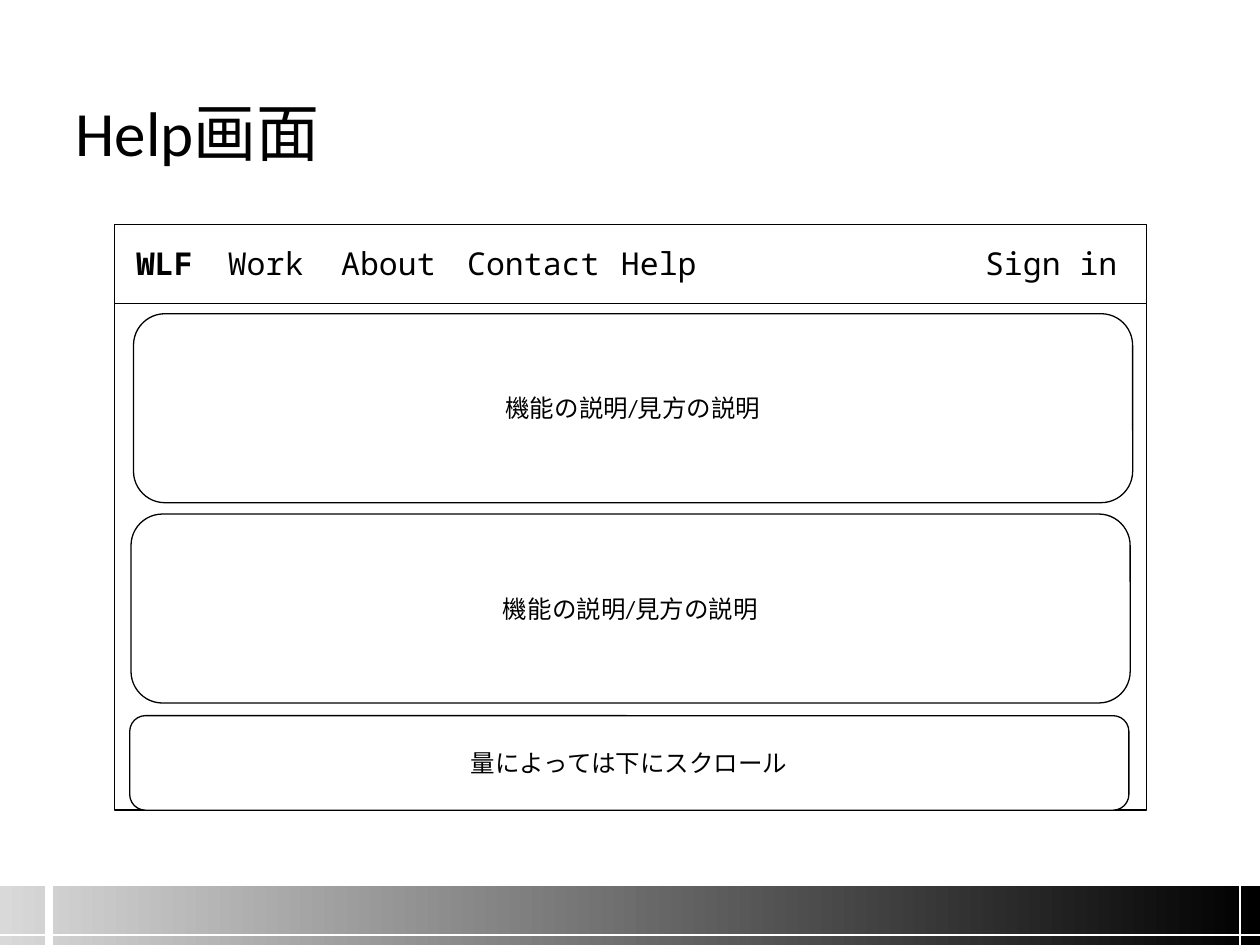
from lxml import etree
from pptx import Presentation
from pptx import util as u
from pptx.dml import color
from pptx.enum import shapes, text
from pptx.oxml import ns


def tint(code):
    return color.RGBColor.from_string(code)


class Page:
    ink, white = "000000", "FFFFFF"
    sans, mono = "Calibri", "Noto Sans Mono"

    def __init__(self, deck):
        self.slide = deck.slides.add_slide(deck.slide_layouts[5])
        self.items = self.slide.shapes

    def letter(self, frame, words, size, font, align, anchor, bold=False):
        frame.text = words
        frame.vertical_anchor = anchor
        para = frame.paragraphs[0]
        para.alignment = align
        para.font.size = u.Pt(size)
        para.font.name = font
        para.font.bold = bold
        para.font.color.rgb = tint(self.ink)

    def title(self, words, *box):
        head = self.items.title
        head.left, head.top, head.width, head.height = map(u.Inches, box)
        self.letter(head.text_frame, words, 36, self.sans,
                    text.PP_ALIGN.LEFT, text.MSO_ANCHOR.BOTTOM)

    def box(self, *box, kind=shapes.MSO_SHAPE.RECTANGLE):
        item = self.items.add_shape(kind, *map(u.Inches, box))
        item.shadow.inherit = False
        item.fill.solid()
        item.fill.fore_color.rgb = tint(self.white)
        item.line.color.rgb = tint(self.ink)
        item.line.width = u.Pt(0.75)
        return item

    def card(self, words, *box):
        item = self.box(*box, kind=shapes.MSO_SHAPE.ROUNDED_RECTANGLE)
        self.letter(item.text_frame, words, 14, self.sans,
                    text.PP_ALIGN.CENTER, text.MSO_ANCHOR.MIDDLE)

    def label(self, words, *box, bold=False):
        item = self.items.add_textbox(*map(u.Inches, box))
        frame = item.text_frame
        frame.word_wrap = False
        frame.auto_size = text.MSO_AUTO_SIZE.SHAPE_TO_FIT_TEXT
        align = text.PP_ALIGN.CENTER if bold else text.PP_ALIGN.LEFT
        self.letter(frame, words, 18, self.mono, align,
                    text.MSO_ANCHOR.TOP, bold)

    def band(self, *box):
        item = self.box(*box)
        item.line.fill.background()
        item.fill.gradient()
        item.fill.gradient_angle = 180
        for stop, code, spot in zip(item.fill.gradient_stops,
                                    (self.ink, "D9D9D9"), (0, 1)):
            stop.color.rgb = tint(code)
            stop.position = spot

    def line(self, *ends, width):
        item = self.items.add_connector(
            shapes.MSO_CONNECTOR.STRAIGHT, *map(u.Inches, ends))
        item.line.color.rgb = tint(self.white)
        item.line.width = u.Pt(width)
        etree.SubElement(item._element.spPr, ns.qn("a:effectLst"))


deck = Presentation()
deck.slide_width, deck.slide_height = u.Inches(10), u.Inches(7.5)
page = Page(deck)

page.band(0, 7.03, 10, 0.47)
page.line(9.84, 7.03, 9.84, 7.5, width=1.25)
page.line(0, 7.42, 10, 7.42, width=1.25)
page.line(0.39, 6.88, 0.39, 7.5, width=5)

page.title("Help画面", 0.5, 0.3, 9, 1.09)

for high in (4.65, 0.63):
    page.box(0.91, 1.78, 8.19, high)

menu = [("WLF", 0.95, 0.71), ("Work", 1.71, 0.85), ("About", 2.61, 0.96),
        ("Contact", 3.61, 1.27), ("Help", 4.83, 0.81), ("Sign in", 7.72, 1.27)]
for words, left, wide in menu:
    page.label(words, left, 1.89, wide, 0.4, bold=words == "WLF")

guide = "機能の説明/見方の説明"
cards = [(guide, 1.06, 2.49, 1.5), (guide, 1.04, 4.08, 1.5),
         ("量によっては下にスクロール", 1.03, 5.68, 0.75)]
for words, left, top, high in cards:
    page.card(words, left, top, 7.93, high)

deck.save("out.pptx")
